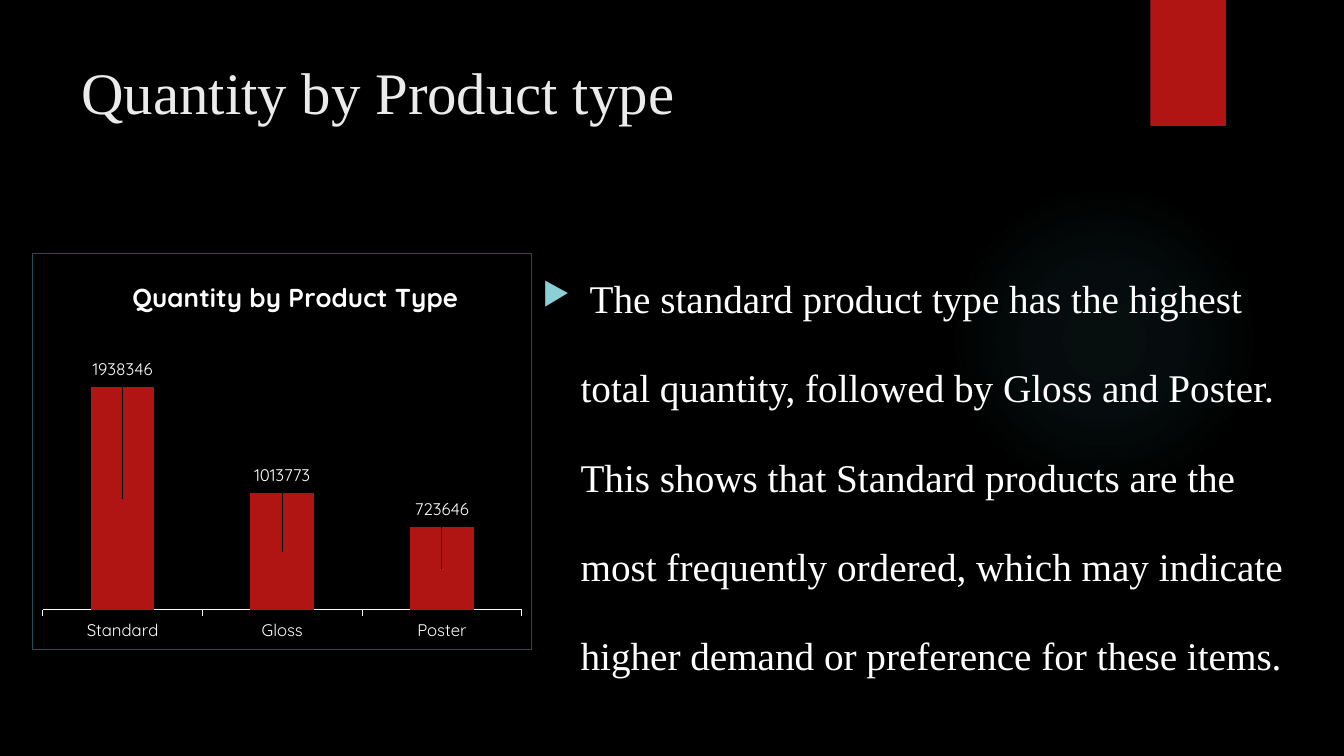
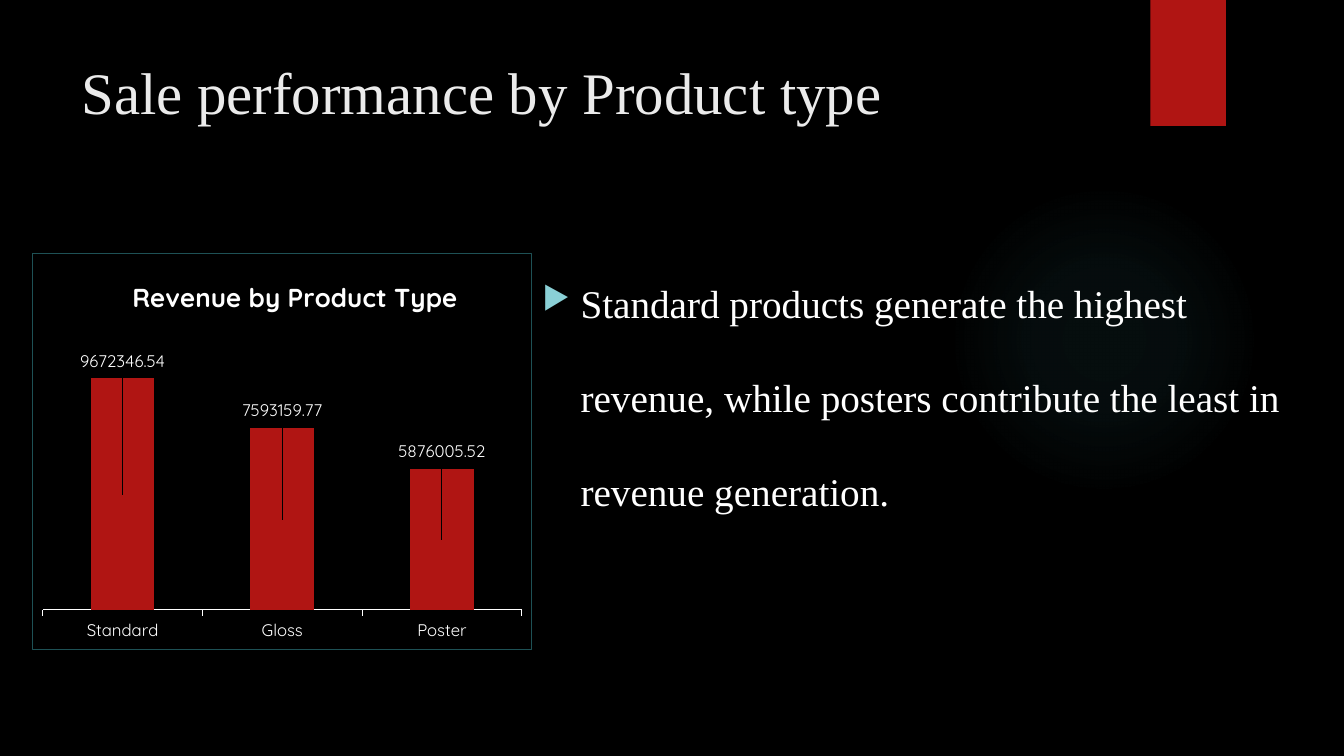
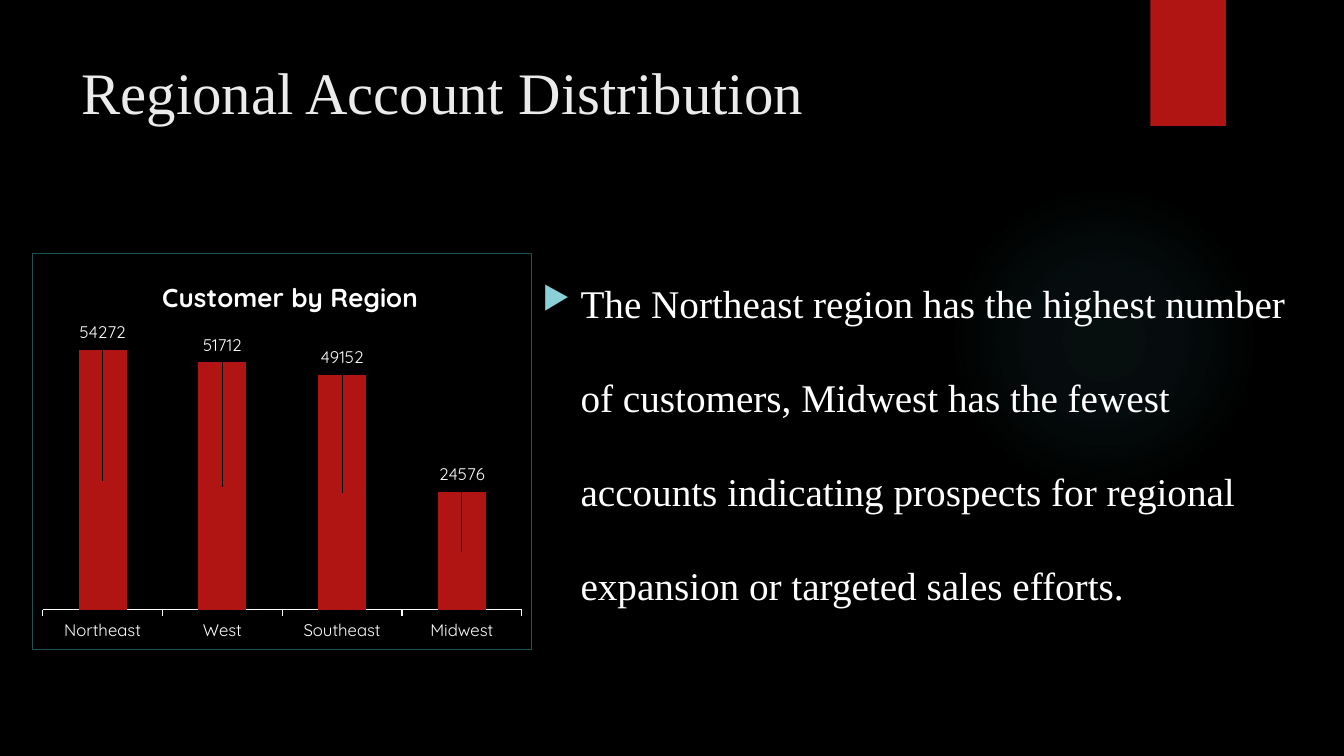
from lxml.etree import SubElement
from pptx import Presentation
from pptx.chart.data import CategoryChartData
from pptx.dml.color import RGBColor
from pptx.enum.chart import XL_CHART_TYPE, XL_LABEL_POSITION, XL_TICK_MARK
from pptx.enum.shapes import MSO_SHAPE
from pptx.oxml import parse_xml
from pptx.oxml.ns import nsdecls, qn
from pptx.util import Inches, Pt

BLACK, WHITE, TITLE_GREY = "000000", "FFFFFF", "EBEBEB"
RED, TEAL, AQUA, BORDER = "B01513", "50B9C1", "8AD0D6", "1E5155"
SERIF, SANS = "Times New Roman", "Quicksand"
PLOT_HEIGHT = 0.725
LABEL_GAP = 0.045

GLOW_FILL = (
    f'<a:gradFill {nsdecls("a")}><a:gsLst>'
    + "".join(
        f'<a:gs pos="{stop * 1000}"><a:srgbClr val="{TEAL}">'
        f'<a:alpha val="{opacity * 1000}"/></a:srgbClr></a:gs>'
        for stop, opacity in [(0, 7), (36, 6), (69, 0), (100, 0)]
    )
    + '</a:gsLst><a:path path="circle">'
    '<a:fillToRect l="50000" t="50000" r="50000" b="50000"/></a:path></a:gradFill>'
)
CHART_FRAME = (
    f'<c:spPr {nsdecls("c", "a")}><a:noFill/><a:ln w="9525"><a:solidFill>'
    f'<a:srgbClr val="{BORDER}"/></a:solidFill></a:ln></c:spPr>'
)

SLIDES = [
    {
        "title": "Quantity by Product type",
        "finding": " The standard product type has the highest total quantity, followed by "
        "Gloss and Poster. This shows that Standard products are the most frequently ordered, "
        "which may indicate higher demand or preference for these items.",
        "line_spacing": 1.9,
        "chart_title": "Quantity by Product Type",
        "chart_title_left": 0.19,
        "series": "Quantity by Product Type",
        "values": {"Standard": 1938346, "Gloss": 1013773, "Poster": 723646},
        "maximum": 2500000,
    },
    {
        "title": "Sale performance by Product type",
        "finding": "Standard products generate the highest revenue, while posters contribute "
        "the least in revenue generation.",
        "line_spacing": 2.0,
        "chart_title": "Revenue by Product Type",
        "chart_title_left": 0.19,
        "series": "Series 1",
        "values": {"Standard": 9672346.54, "Gloss": 7593159.77, "Poster": 5876005.52},
        "maximum": 12000000,
    },
    {
        "title": "Regional Account Distribution",
        "finding": "The Northeast region has the highest number of customers, Midwest has the "
        "fewest accounts indicating prospects for regional expansion or targeted sales efforts.",
        "line_spacing": 2.0,
        "chart_title": "Customer by Region",
        "chart_title_left": 0.25,
        "series": "Series 1",
        "values": {"Northeast": 54272, "West": 51712, "Southeast": 49152, "Midwest": 24576},
        "maximum": 60000,
    },
]


def paint(target, color, size=None, name=None):
    if size:
        target.size = Pt(size)
        target.name = name
        target.color.rgb = RGBColor.from_string(color)
    else:
        target.solid()
        target.fore_color.rgb = RGBColor.from_string(color)


def set_layout(parent, index, **settings):
    for old_layout in parent.findall(qn("c:layout")):
        parent.remove(old_layout)
    layout = parse_xml(f'<c:layout {nsdecls("c")}><c:manualLayout/></c:layout>')
    for tag, value in settings.items():
        SubElement(layout[0], qn(f"c:{tag}")).set("val", str(value))
    parent.insert(index, layout)


prs = Presentation()
prs.slide_width = Inches(13.33)
prs.slide_height = Inches(7.5)
paint(prs.slide_master.background.fill, BLACK)

for content in SLIDES:
    slide = prs.slides.add_slide(prs.slide_layouts[6])

    glow = slide.shapes.add_shape(
        MSO_SHAPE.OVAL, Inches(9.41), Inches(1.83), Inches(3.08), Inches(3.08)
    )
    glow.element.spPr.find(qn("a:prstGeom")).addnext(parse_xml(GLOW_FILL))
    ribbon = slide.shapes.add_shape(
        MSO_SHAPE.RECTANGLE, Inches(11.41), 0, Inches(0.75), Inches(1.25)
    )
    paint(ribbon.fill, RED)
    for decoration in (glow, ribbon):
        decoration.line.fill.background()
        decoration.shadow.inherit = False

    heading = slide.shapes.add_textbox(
        Inches(0.71), Inches(0.5), Inches(10.29), Inches(1.29)
    ).text_frame
    heading.word_wrap = True
    heading.text = content["title"]
    paint(heading.paragraphs[0].font, TITLE_GREY, 42, SERIF)

    body = slide.shapes.add_textbox(
        Inches(5.28), Inches(2.25), Inches(7.79), Inches(4.59)
    ).text_frame
    body.word_wrap = True
    body.text = content["finding"]
    finding = body.paragraphs[0]
    finding.line_spacing = content["line_spacing"]
    finding.space_before = Pt(10)
    paint(finding.font, WHITE, 28, SERIF)
    bullet = finding._p.get_or_add_pPr()
    bullet.set("marL", str(Inches(0.38)))
    bullet.set("indent", str(-Inches(0.38)))
    bullet_parts = [
        f'<a:buClr {nsdecls("a")}><a:srgbClr val="{AQUA}"/></a:buClr>',
        f'<a:buSzPct {nsdecls("a")} val="80000"/>',
        f'<a:buChar {nsdecls("a")} char="▶"/>',
    ]
    for offset, part in enumerate(bullet_parts):
        bullet.insert(2 + offset, parse_xml(part))

    values = content["values"]
    chart_data = CategoryChartData()
    chart_data.categories = list(values)
    chart_data.add_series(content["series"], list(values.values()))
    chart = slide.shapes.add_chart(
        XL_CHART_TYPE.COLUMN_STACKED,
        Inches(0.32), Inches(2.51), Inches(4.96), Inches(3.94), chart_data,
    ).chart
    paint(chart.font, WHITE, 12, SANS)
    chart.element.find(qn("c:chart")).addnext(parse_xml(CHART_FRAME))
    chart.has_legend = False
    chart.has_title = True
    chart.chart_title.include_in_layout = False
    chart.chart_title.text_frame.text = content["chart_title"]
    paint(chart.chart_title.text_frame.paragraphs[0].font, WHITE, 18.6, SANS)
    set_layout(
        chart.chart_title.element, 1,
        xMode="edge", yMode="edge", x=content["chart_title_left"], y=0.05,
    )

    plot = chart.plots[0]
    plot.gap_width = 150
    plot.overlap = 100
    plot.vary_by_categories = False
    set_layout(
        chart.element.find(qn("c:chart")).find(qn("c:plotArea")), 0,
        layoutTarget="inner", xMode="edge", yMode="edge",
        x=0.02, y=0.175, w=0.96, h=PLOT_HEIGHT,
    )

    chart.value_axis.minimum_scale = 0
    chart.value_axis.maximum_scale = content["maximum"]
    chart.value_axis.has_major_gridlines = False
    chart.value_axis.visible = False
    categories = chart.category_axis
    categories.major_tick_mark = XL_TICK_MARK.OUTSIDE
    categories.format.line.width = Pt(0.75)
    paint(categories.format.line.fill, WHITE)
    paint(categories.tick_labels.font, WHITE, 12, SANS)

    columns = plot.series[0]
    paint(columns.format.fill, RED)
    columns.data_labels.show_value = True
    columns.data_labels.position = XL_LABEL_POSITION.CENTER
    paint(columns.data_labels.font, WHITE, 12, SANS)
    for index, value in enumerate(values.values()):
        label = columns.points[index].data_label
        label.position = XL_LABEL_POSITION.CENTER
        paint(label.font, WHITE, 12, SANS)
        half_column = value / content["maximum"] * PLOT_HEIGHT / 2
        set_layout(
            columns.data_labels._element.findall(qn("c:dLbl"))[index], 1,
            x=0, y=round(-half_column - LABEL_GAP, 3),
        )

prs.save("out.pptx")
